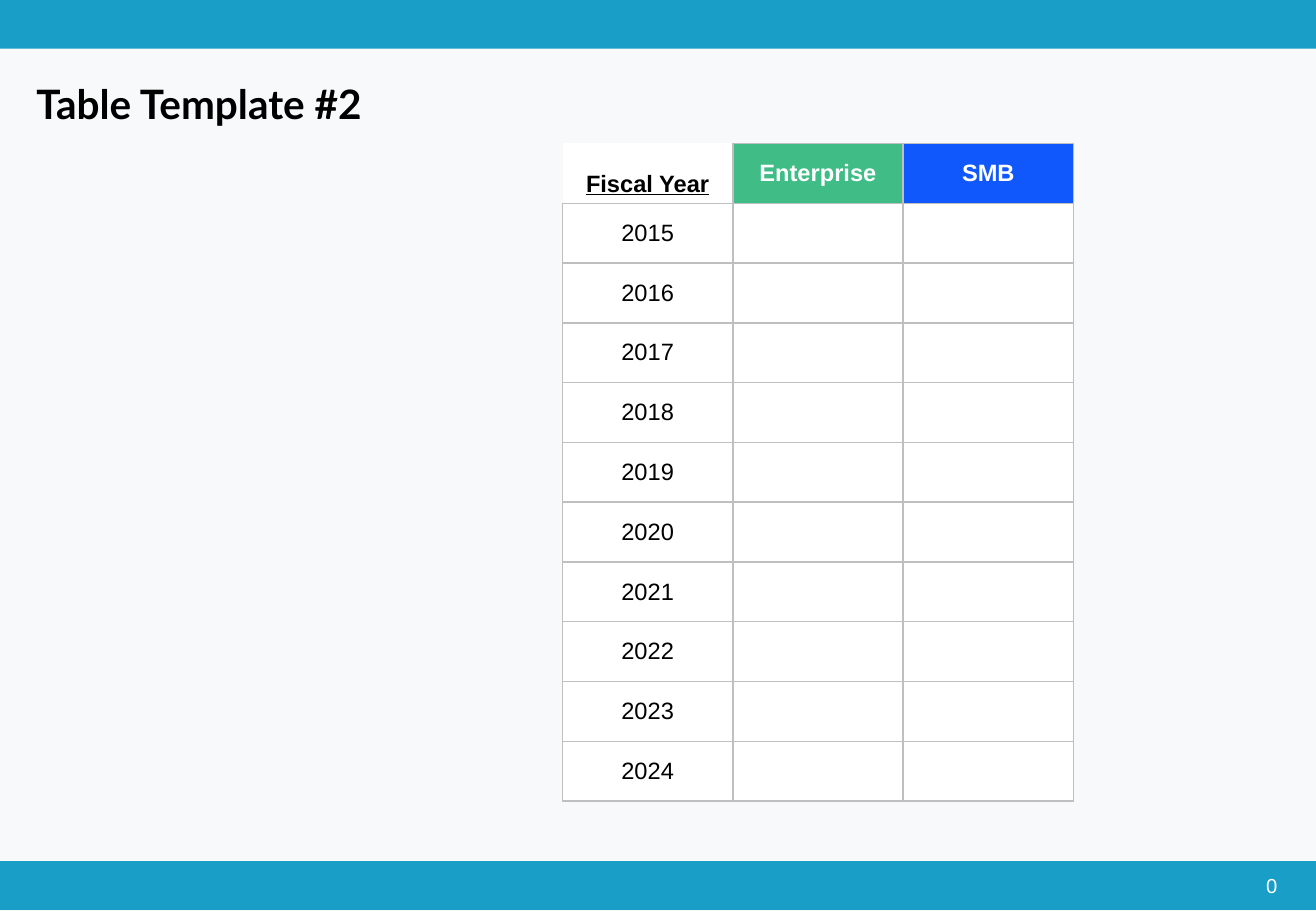
from dataclasses import dataclass

from pptx import Presentation
from pptx.dml.color import RGBColor
from pptx.enum.shapes import MSO_SHAPE
from pptx.enum.text import MSO_ANCHOR, PP_ALIGN
from pptx.oxml.ns import qn
from pptx.util import Cm, Pt
from lxml.etree import SubElement

BACKGROUND = RGBColor(0xF8, 0xF9, 0xFA)
TEAL = RGBColor(0x19, 0x9E, 0xC7)
GREEN = RGBColor(0x40, 0xBC, 0x86)
BLUE = RGBColor(0x10, 0x57, 0xFC)
GREY = RGBColor(0xBF, 0xBF, 0xBF)
WHITE = RGBColor(0xFF, 0xFF, 0xFF)
BLACK = RGBColor(0x00, 0x00, 0x00)

SLIDE_W, SLIDE_H = Cm(27.51), Cm(19.05)
BAR_H = Cm(1.02)
COL_W, ROW_H = Cm(3.56), Cm(1.25)
YEARS = range(2015, 2025)
ALL_SIDES = "LRTB"


@dataclass
class TextStyle:
    size: int
    color: RGBColor = BLACK
    font: str = "Arial"
    bold: bool = False
    underline: bool = False
    align: PP_ALIGN = PP_ALIGN.CENTER


@dataclass
class CellSpec:
    text: str
    style: TextStyle
    fill: RGBColor = WHITE
    anchor: MSO_ANCHOR = MSO_ANCHOR.MIDDLE
    sides: str = ALL_SIDES


def write_text(tf, text: str, style: TextStyle) -> None:
    p = tf.paragraphs[0]
    p.text = text
    p.alignment = style.align
    for r in p.runs:
        r.font.name = style.font
        r.font.size = Pt(style.size)
        r.font.bold = style.bold
        r.font.underline = style.underline
        r.font.color.rgb = style.color


def add_bar(slide, top: int) -> None:
    sp = slide.shapes.add_shape(MSO_SHAPE.RECTANGLE, 0, top, SLIDE_W, BAR_H)
    sp.shadow.inherit = False
    sp.fill.solid()
    sp.fill.fore_color.rgb = TEAL
    sp.line.fill.background()


def add_label(slide, box: tuple, text: str, style: TextStyle) -> None:
    tf = slide.shapes.add_textbox(*box).text_frame
    tf.word_wrap = True
    tf.margin_left = tf.margin_right = tf.margin_top = tf.margin_bottom = 0
    write_text(tf, text, style)


def set_borders(cell, sides: str) -> None:
    """Draw grey lines on the given sides and none on the others."""
    tc_pr = cell._tc.get_or_add_tcPr()
    for side in ALL_SIDES:
        ln = SubElement(tc_pr, qn(f"a:ln{side}"), w=str(Pt(1)))
        if side in sides:
            fill = SubElement(ln, qn("a:solidFill"))
            SubElement(fill, qn("a:srgbClr"), val=str(GREY))
        else:
            SubElement(ln, qn("a:noFill"))


def fill_cell(cell, spec: CellSpec) -> None:
    set_borders(cell, spec.sides)  # borders must precede the fill
    cell.fill.solid()
    cell.fill.fore_color.rgb = spec.fill
    cell.vertical_anchor = spec.anchor
    write_text(cell.text_frame, spec.text, spec.style)


def add_grid(slide, left: int, top: int, rows: list[list[CellSpec]]) -> None:
    n_rows, n_cols = len(rows), len(rows[0])
    table = slide.shapes.add_table(
        n_rows, n_cols, left, top, COL_W * n_cols, ROW_H * n_rows).table
    table.first_row = table.horz_banding = False
    for col in table.columns:
        col.width = COL_W
    for i, row in enumerate(rows):
        table.rows[i].height = ROW_H
        for j, spec in enumerate(row):
            fill_cell(table.cell(i, j), spec)


prs = Presentation()
prs.slide_width, prs.slide_height = SLIDE_W, SLIDE_H
slide = prs.slides.add_slide(prs.slide_layouts[6])
slide.background.fill.solid()
slide.background.fill.fore_color.rgb = BACKGROUND

# Top and bottom bars
for top in (0, Cm(18.01)):
    add_bar(slide, top)

# Title and page number
add_label(slide, (Cm(0.76), Cm(1.65), Cm(25.93), Cm(1.98)), "Table Template #2",
          TextStyle(24, font="Lato", bold=True, align=PP_ALIGN.LEFT))
add_label(slide, (Cm(25.2), Cm(18.26), Cm(1.5), Cm(0.51)), "0",
          TextStyle(12, WHITE, align=PP_ALIGN.RIGHT))

# Table of fiscal years by segment
year_head = TextStyle(14, bold=True, underline=True)
segment_head = TextStyle(14, WHITE, bold=True)
body = TextStyle(14)
header = [
    CellSpec("Fiscal Year", year_head, anchor=MSO_ANCHOR.BOTTOM, sides="RB"),
    CellSpec("Enterprise", segment_head, GREEN),
    CellSpec("SMB", segment_head, BLUE),
]
year_rows = [[CellSpec(text, body) for text in (str(year), "", "")]
             for year in YEARS]
add_grid(slide, Cm(11.76), Cm(3), [header, *year_rows])

prs.save("out.pptx")
